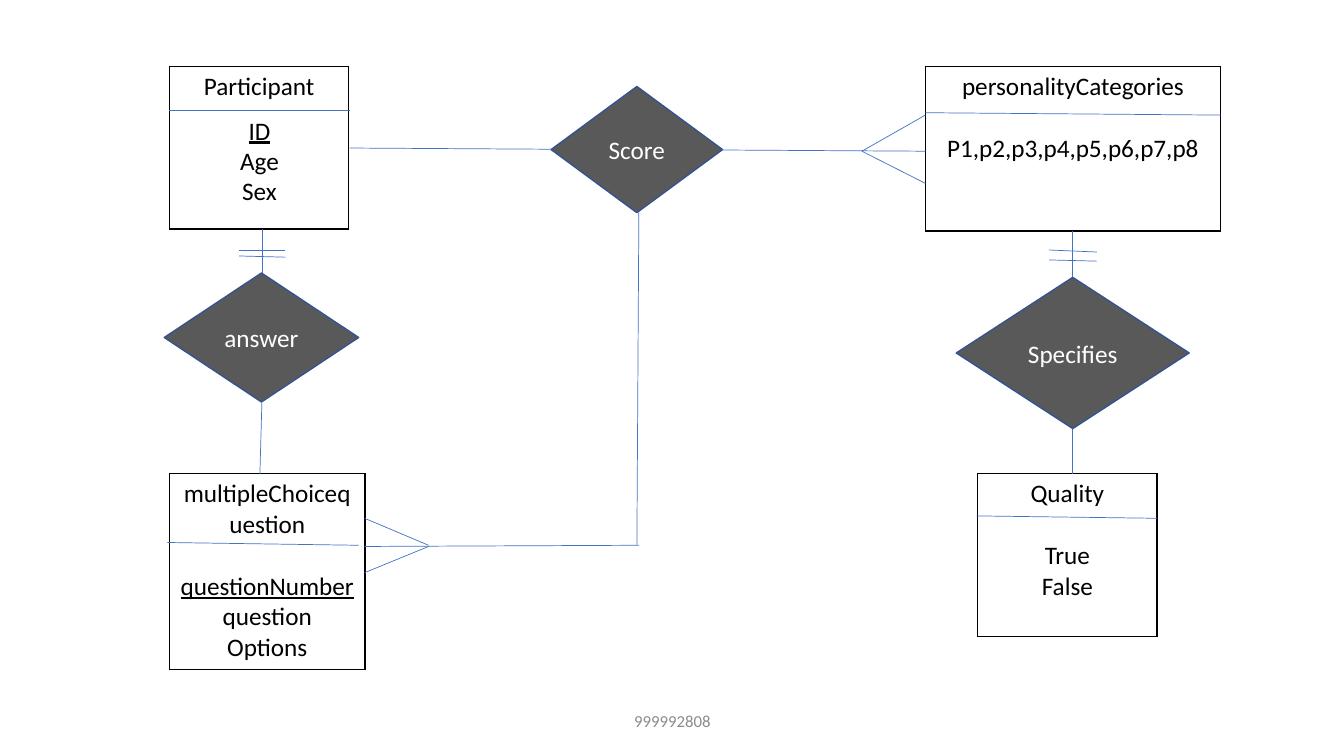
from dataclasses import dataclass

from lxml.etree import SubElement as Sub
from pptx import Presentation
from pptx.dml.color import RGBColor as Rgb
from pptx.enum.shapes import MSO_CONNECTOR as Wire, MSO_SHAPE as Form
from pptx.enum.text import MSO_ANCHOR as Anchor, PP_ALIGN as Align
from pptx.oxml.ns import qn
from pptx.util import Cm, Pt

INK = {"text": "000000", "pale": "FFFFFF", "note": "8C8C8C",
       "fill": "595959", "edge": "325491", "link": "4472C4"}
FONT = {"name": "Calibri", "size": Pt(18)}
LINE = Pt(22)  # height of one line of 18 pt text


@dataclass
class Row:
    text: str
    key: bool = False
    gap: bool = False


@dataclass
class Box:
    x: float
    y: float
    w: float
    h: float
    rows: list[Row]

    def place(self) -> list[Cm]:
        return [Cm(v) for v in (self.x, self.y, self.w, self.h)]


@dataclass
class Link:
    x1: float
    y1: float
    x2: float
    y2: float


def tint(name: str) -> Rgb:
    return Rgb.from_string(INK[name])


def write(frame, rows: list[Row], ink: str, **more) -> None:
    frame.word_wrap = True
    for i, row in enumerate(rows):
        par = frame.add_paragraph() if i else frame.paragraphs[0]
        par.alignment = Align.CENTER
        if row.gap:
            par.space_before = LINE
        run = par.add_run()
        run.text = row.text
        for name, value in {**FONT, "underline": row.key, **more}.items():
            setattr(run.font, name, value)
        run.font.color.rgb = tint(ink)


def draw_table(slide, box: Box) -> None:
    table = slide.shapes.add_table(1, 1, *box.place()).table
    for name in ("first_row", "horz_banding"):
        setattr(table, name, False)
    cell = table.cell(0, 0)
    props = cell._tc.get_or_add_tcPr()
    for side in ("lnL", "lnR", "lnT", "lnB"):
        edge = Sub(props, qn(f"a:{side}"), w=str(Pt(1)))
        Sub(Sub(edge, qn("a:solidFill")), qn("a:srgbClr"), val=INK["text"])
    cell.fill.background()
    write(cell.text_frame, box.rows, "text")


def draw_diamond(slide, box: Box) -> None:
    shape = slide.shapes.add_shape(Form.DIAMOND, *box.place())
    shape.shadow.inherit = False
    shape.fill.solid()
    shape.fill.fore_color.rgb = tint("fill")
    shape.line.color.rgb = tint("edge")
    shape.line.width = Pt(1)
    shape.text_frame.vertical_anchor = Anchor.MIDDLE
    write(shape.text_frame, box.rows, "pale")


def draw_link(slide, link: Link) -> None:
    ends = [Cm(v) for v in (link.x1, link.y1, link.x2, link.y2)]
    wire = slide.shapes.add_connector(Wire.STRAIGHT, *ends)
    wire.line.color.rgb = tint("link")
    wire.line.width = Pt(0.5)
    Sub(wire._element.spPr, qn("a:effectLst"))


def draw_text(slide, box: Box, ink: str, anchor: Anchor, **more) -> None:
    frame = slide.shapes.add_textbox(*box.place()).text_frame
    frame.vertical_anchor = anchor
    write(frame, box.rows, ink, **more)


# Entities
TABLES = [
    Box(4.27, 1.68, 4.52, 4.09, [Row("Participant")]),
    Box(4.27, 11.94, 4.93, 4.93, [
        Row("multipleChoicequestion"),
        Row("questionNumber", key=True, gap=True),
        Row("question"), Row("Options")]),
    Box(23.32, 1.68, 7.44, 4.14, [
        Row("personalityCategories"),
        Row("P1,p2,p3,p4,p5,p6,p7,p8", gap=True)]),
    Box(24.64, 11.94, 4.52, 4.09, [
        Row("Quality"), Row("True", gap=True), Row("False")]),
]
FIELDS = Box(5.18, 2.77, 2.72, 2.57,
             [Row("ID", key=True), Row("Age"), Row("Sex")])
FOOT = Box(11.23, 17.65, 11.43, 1.02, [Row("999992808")])

# Relations
DIAMONDS = [
    Box(13.89, 2.18, 4.32, 3.18, [Row("Score")]),
    Box(4.14, 6.88, 4.9, 3.25, [Row("answer")]),
    Box(24.1, 6.99, 5.87, 3.81, [Row("Specifies")]),
]

LINKS = [
    # Between entities and relations
    Link(6.6, 5.77, 6.6, 6.88),
    Link(6.6, 10.13, 6.55, 11.94),
    Link(8.81, 3.73, 13.89, 3.76),
    Link(18.21, 3.78, 23.32, 3.81),
    Link(16.1, 5.33, 16.05, 13.74),
    Link(9.19, 13.77, 16.1, 13.74),
    Link(27.03, 5.82, 27.03, 6.99),
    Link(27.03, 10.8, 27.03, 11.94),
    # "Exactly one" bars
    Link(6.02, 6.3, 7.19, 6.3),
    Link(6.02, 6.45, 7.19, 6.48),
    Link(26.44, 6.3, 27.64, 6.35),
    Link(26.44, 6.55, 27.64, 6.58),
    # Crow's feet
    Link(9.19, 13.06, 10.8, 13.74),
    Link(9.19, 14.43, 10.8, 13.77),
    Link(21.72, 3.81, 23.32, 2.9),
    Link(21.72, 3.81, 23.32, 4.62),
    # Rules under entity names
    Link(4.27, 2.77, 8.81, 2.77),
    Link(4.22, 13.67, 9.04, 13.74),
    Link(24.61, 13, 29.16, 13.06),
    Link(23.32, 2.84, 30.76, 2.9),
]


def main() -> None:
    deck = Presentation()
    deck.slide_width, deck.slide_height = Cm(33.87), Cm(19.05)
    slide = deck.slides.add_slide(deck.slide_layouts[6])
    for box in TABLES:
        draw_table(slide, box)
    draw_text(slide, FIELDS, "text", Anchor.TOP)
    for box in DIAMONDS:
        draw_diamond(slide, box)
    for link in LINKS:
        draw_link(slide, link)
    draw_text(slide, FOOT, "note", Anchor.MIDDLE, size=Pt(12))
    deck.save("out.pptx")


if __name__ == "__main__":
    main()
